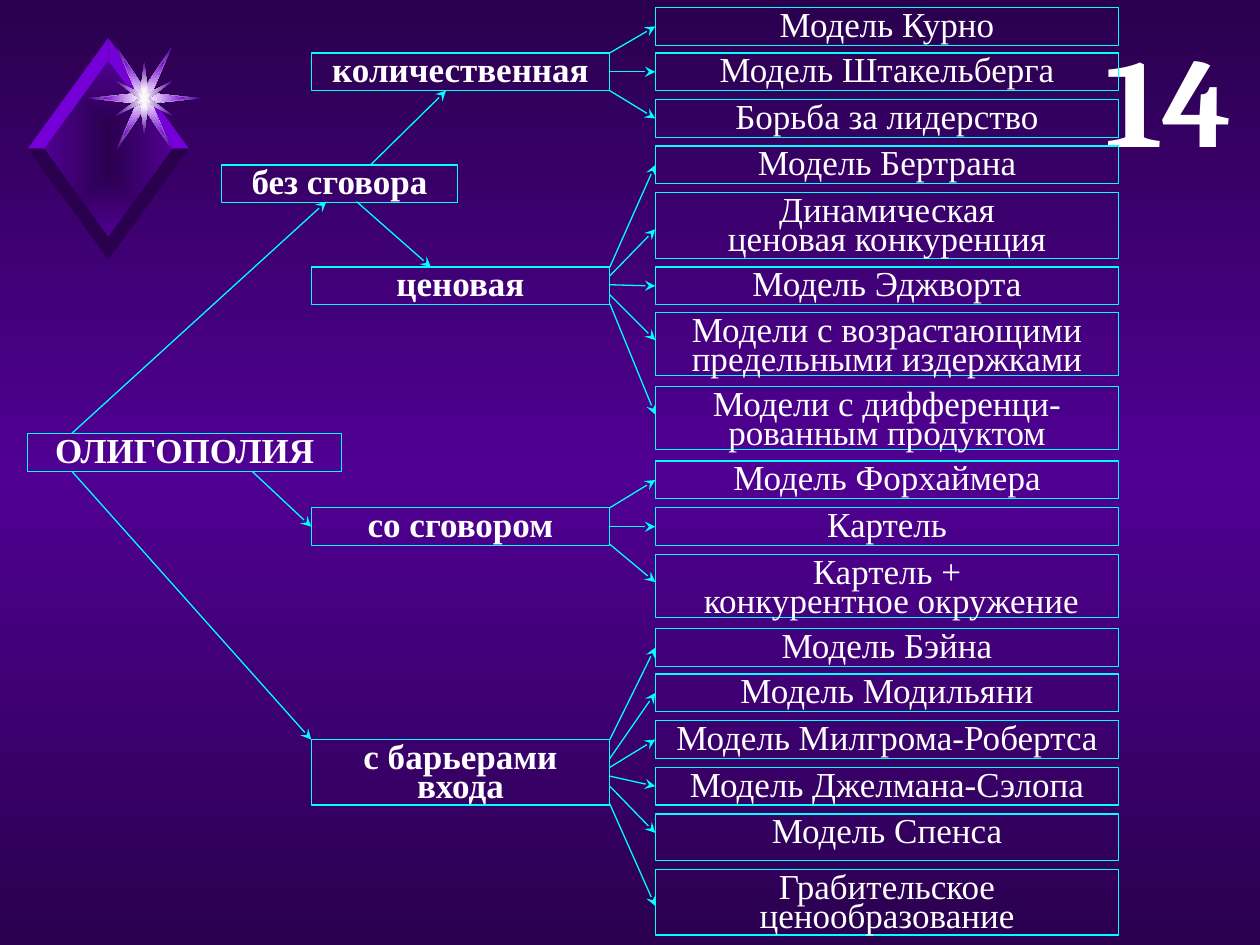
from pptx import Presentation
from pptx.dml.color import RGBColor
from pptx.enum.shapes import MSO_CONNECTOR, MSO_SHAPE
from pptx.enum.text import MSO_ANCHOR, PP_ALIGN
from pptx.oxml import parse_xml
from pptx.oxml.ns import nsdecls, qn
from pptx.util import Inches, Pt

STRAIGHT = MSO_CONNECTOR.STRAIGHT
RECT = MSO_SHAPE.RECTANGLE
TOP = MSO_ANCHOR.TOP
CENTER, RIGHT = PP_ALIGN.CENTER, PP_ALIGN.RIGHT

DARK, MID, BRIGHT = "2A004E", "500093", "7500D7"
CYAN, WHITE, PALE = "00FFFF", "FFFFFF", "F9F9F9"
LINEAR = '<a:lin ang="5400000" scaled="0"/>'
FROM_CENTER = ('<a:path path="rect"><a:fillToRect l="50000" t="50000" '
               'r="50000" b="50000"/></a:path>')


def rgb(value):
    return RGBColor.from_string(value)


def gradient(parent, colors, direction):
    step = 100000 // (len(colors) - 1)
    stops = "".join(f'<a:gs pos="{i * step}"><a:srgbClr val="{c}"/></a:gs>'
                    for i, c in enumerate(colors))
    grad = parse_xml(f'<a:gradFill {nsdecls("a")} rotWithShape="1">'
                     f'<a:gsLst>{stops}</a:gsLst>{direction}</a:gradFill>')
    parent.replace(parent.find(qn("a:solidFill")), grad)


class Diagram:
    """Draws the elements of a tree diagram on one slide."""

    def __init__(self, slide):
        self.s = slide
        self.font = {"name": "Times New Roman", "size": Pt(20)}

    def background(self, colors):
        self.s.background.fill.solid()
        gradient(self.s.element.find(".//" + qn("p:bgPr")), colors, LINEAR)

    def polygon(self, points, *colors):
        emu = [(Inches(x), Inches(y)) for x, y in points]
        builder = self.s.shapes.build_freeform(*emu[0])
        builder.add_line_segments(emu[1:], close=True)
        sp = builder.convert_to_shape()
        sp.shadow.inherit = False
        sp.line.fill.background()
        sp.fill.solid()
        sp.fill.fore_color.rgb = rgb(colors[0])
        if len(colors) > 1:
            gradient(sp.element.spPr, colors, FROM_CENTER)

    def add_text(self, sp, text, align, spacing, **changes):
        tf = sp.text_frame
        tf.word_wrap = True
        tf.vertical_anchor = TOP
        for i, line in enumerate(text.split("\n")):
            p = tf.add_paragraph() if i else tf.paragraphs[0]
            p.alignment, p.line_spacing = align, spacing
            r = p.add_run()
            r.text = line
            for name, value in {**self.font, **changes}.items():
                setattr(r.font, name, value)
            r.font.color.rgb = rgb(WHITE)

    def number(self, text, *at):
        sp = self.s.shapes.add_textbox(*map(Inches, at))
        self.add_text(sp, text, RIGHT, 1.0, name="Cambria", size=Pt(72), bold=True)

    def box(self, text, *at, bold=False):
        sp = self.s.shapes.add_shape(RECT, *map(Inches, at))
        sp.shadow.inherit = False
        sp.fill.background()
        sp.line.color.rgb = rgb(CYAN)
        sp.line.width = Pt(0.75)
        self.add_text(sp, text, CENTER, 0.7, bold=bold)

    def arrow(self, *ends):
        line = self.s.shapes.add_connector(STRAIGHT, *map(Inches, ends))
        line.line.color.rgb = rgb(CYAN)
        line.line.width = Pt(0.75)
        props = line.element.spPr
        props.find(qn("a:ln")).append(
            parse_xml(f'<a:tailEnd {nsdecls("a")} type="stealth"/>'))
        props.append(parse_xml(f'<a:effectLst {nsdecls("a")}/>'))


def star(quarter, cx=1.145, cy=0.78):
    right = quarter + [(x, -y) for x, y in quarter[-2::-1]]
    outline = right + [(-x, y) for x, y in right[-2:0:-1]]
    return [(cx + x, cy + y) for x, y in outline]


BRANCH_X, BRANCH_W, LEAF_X, LEAF_W, ROW_H = 2.47, 2.37, 5.2, 3.68, 0.3

STARS = [
    ([(0, -0.08), (0.22, -0.41), (0.06, -0.04), (0.45, 0)], (WHITE, MID)),
    ([(0, -0.08), (0.16, -0.3), (0.06, -0.04), (0.33, 0)], (WHITE, BRIGHT)),
    ([(0, -0.29), (0.03, -0.04), (0.23, -0.14), (0.04, 0)], (WHITE, MID)),
    ([(0, -0.07), (0.01, -0.02), (0.05, -0.04), (0.02, 0)], (PALE,)),
]

ROOTS = [("ОЛИГОПОЛИЯ", 0.22, 3.44, 2.49), ("без сговора", 1.76, 1.31, 1.87)]

# Each leaf: text, top, height, arrow start, arrow drop below the leaf top.
BRANCHES = [
    ("количественная", 0.42, ROW_H, [
        ("Модель Курно", 0.06, ROW_H, 0.42, 0.15),
        ("Модель Штакельберга", 0.42, ROW_H, 0.57, 0.15),
        ("Борьба за лидерство", 0.79, ROW_H, 0.72, 0.15)]),
    ("ценовая", 2.12, ROW_H, [
        ("Модель Бертрана", 1.16, ROW_H, 2.12, 0.15),
        ("Динамическая\nценовая конкуренция", 1.53, 0.52, 2.19, 0.29),
        ("Модель Эджворта", 2.12, ROW_H, 2.26, 0.15),
        ("Модели с возрастающими\nпредельными издержками", 2.48, 0.5, 2.34, 0.22),
        ("Модели с дифференци-\nрованным продуктом", 3.07, 0.5, 2.41, 0.22)]),
    ("со сговором", 4.03, ROW_H, [
        ("Модель Форхаймера", 3.66, ROW_H, 4.03, 0.15),
        ("Картель", 4.03, ROW_H, 4.18, 0.15),
        ("Картель +\n конкурентное окружение", 4.4, 0.5, 4.32, 0.22)]),
    ("с барьерами входа", 5.87, 0.52, [
        ("Модель Бэйна", 4.99, ROW_H, 5.87, 0.15),
        ("Модель Модильяни", 5.35, ROW_H, 6.02, 0.15),
        ("Модель Милгрома-Робертса", 5.72, ROW_H, 6.09, 0.15),
        ("Модель Джелмана-Сэлопа", 6.09, ROW_H, 6.16, 0.15),
        ("Модель Спенса", 6.46, 0.37, 6.24, 0.15),
        ("Грабительское\nценообразование", 6.9, 0.52, 6.38, 0.29)]),
]

TRUNK_ARROWS = [
    (0.57, 3.44, 2.59, 1.6), (2, 3.74, 2.47, 4.18), (0.57, 3.74, 2.47, 5.87),
    (2.94, 1.31, 3.54, 0.72), (2.83, 1.6, 3.42, 2.12),
]

prs = Presentation()
prs.slide_width, prs.slide_height = Inches(10), Inches(7.5)
d = Diagram(prs.slides.add_slide(prs.slide_layouts[6]))
d.background([DARK, MID, DARK])

gem_x, gem_y = 0.86, 1.18
d.polygon([(gem_x, 0.47), (0.34, gem_y), (gem_x, 1.89), (1.38, gem_y)], DARK, MID)
for down, color in ((-1, BRIGHT), (1, DARK)):
    for side in (1, -1):
        facet = [(0, 0.7), (0, 0.88), (0.64, 0), (0.51, 0)]
        d.polygon([(gem_x + side * x, gem_y + down * y) for x, y in facet], color)
for quarter, colors in STARS:
    d.polygon(star(quarter), *colors)

d.number("14", 8.63, 0.12, 1.25, 1.31)
for text, left, top, width in ROOTS:
    d.box(text, left, top, width, ROW_H, bold=True)
for text, top, height, leaves in BRANCHES:
    d.box(text, BRANCH_X, top, BRANCH_W, height, bold=True)
    for leaf, leaf_top, leaf_h, start, drop in leaves:
        d.box(leaf, LEAF_X, leaf_top, LEAF_W, leaf_h)
        d.arrow(BRANCH_X + BRANCH_W, start, LEAF_X, leaf_top + drop)
for ends in TRUNK_ARROWS:
    d.arrow(*ends)

prs.save("out.pptx")
